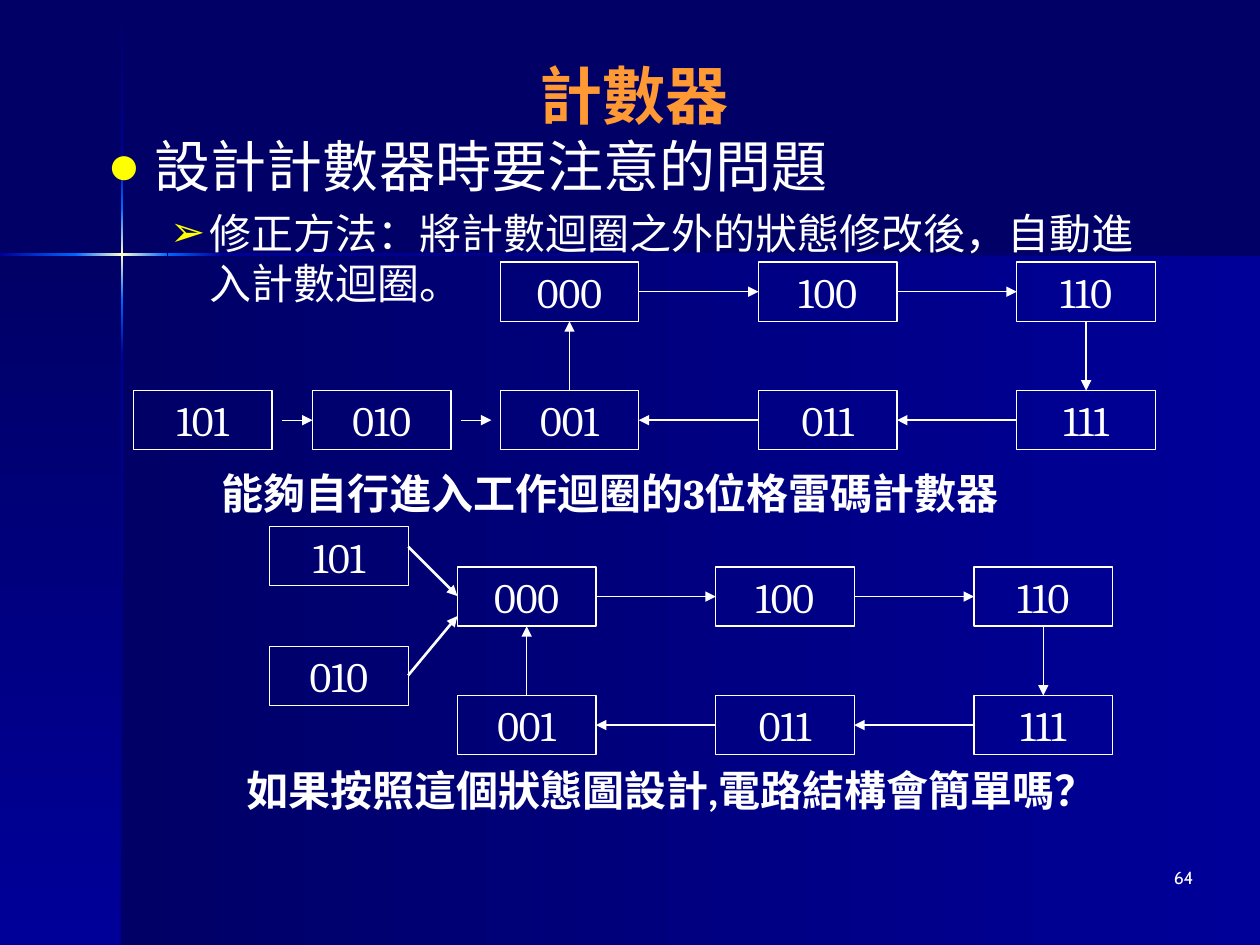
from collections import namedtuple
from copy import deepcopy

from lxml.etree import SubElement
from pptx import Presentation
from pptx.dml.color import RGBColor
from pptx.enum.shapes import MSO_CONNECTOR as LINK, MSO_SHAPE as SHAPE
from pptx.enum.text import MSO_ANCHOR as ANCHOR, MSO_AUTO_SIZE as FIT, PP_ALIGN as ALIGN
from pptx.oxml.ns import qn
from pptx.util import Inches, Pt

NAVY = RGBColor(0x00, 0x00, 0x66)
BLUE = RGBColor(0x00, 0x00, 0x99)
BRIGHT = RGBColor(0x00, 0x66, 0xFF)
CREAM = RGBColor(0xFF, 0xFF, 0xCC)
ORANGE = RGBColor(0xFF, 0x99, 0x33)
YELLOW = RGBColor(0xFF, 0xFF, 0x00)
WHITE = RGBColor(0xFF, 0xFF, 0xFF)

WIDTH, HEIGHT = Inches(10), Inches(7.5)
COL, ROW = WIDTH // 100, HEIGHT // 75
STATE_W, STATE_H = 11, 4.7
STEP_X, STEP_Y = 20.5, 10.2
THIN, THICK = 0.75, 1.5

Box = namedtuple("Box", "left top width height")


def grid(box):
    """Turn a box in columns and rows into slide lengths."""
    return [int(n * unit) for n, unit in zip(box, (COL, ROW, COL, ROW))]


def write(frame, text, *, size, font="Cabin", color=WHITE, bold=False, align=ALIGN.LEFT,
          level=0, bullet=None, indent=(0, 0), before=None):
    """Add one formatted paragraph to a text frame."""
    para = frame.add_paragraph() if frame.text else frame.paragraphs[0]
    para.text, para.alignment, para.level = text, align, level
    para.space_before = Pt(before or 0)
    if bullet:
        props = para._p.get_or_add_pPr()
        props.set("marL", str(Inches(indent[0])))
        props.set("indent", str(Inches(indent[1])))
        tint = SubElement(props, qn("a:buClr"))
        SubElement(tint, qn("a:srgbClr"), val=str(YELLOW))
        SubElement(props, qn("a:buChar"), char=bullet)
    para.font.size, para.font.name, para.font.bold = Pt(size), font, bold
    para.font.color.rgb = color


def text_box(slide, box, text, **style):
    """Place a wrapping text box."""
    frame = slide.shapes.add_textbox(*grid(box)).text_frame
    frame.word_wrap = True
    write(frame, text, **style)


def band(slide, box, colors, downward):
    """Place a borderless rectangle with evenly spaced gradient colours."""
    strip = slide.shapes.add_shape(SHAPE.RECTANGLE, *grid(box))
    strip.shadow.inherit = False
    strip.line.fill.background()
    strip.fill.gradient()
    strip.fill.gradient_angle = 270 if downward else 0
    stops = strip._element.spPr.find(".//" + qn("a:gsLst"))
    for _ in colors[2:]:
        stops.append(deepcopy(stops[0]))
    for place, (stop, color) in enumerate(zip(strip.fill.gradient_stops, colors)):
        stop.color.rgb = color
        stop.position = place / (len(colors) - 1)


def backdrop(slide):
    """Paint the background panels and the glowing cross."""
    slide.background.fill.solid()
    slide.background.fill.fore_color.rgb = NAVY
    edge_x, edge_y = 9.7, 20.2
    band(slide, Box(edge_x, edge_y, 100 - edge_x, 75 - edge_y), (NAVY, BLUE), False)
    band(slide, Box(0, edge_y, edge_x, 75 - edge_y), (NAVY, BLUE), True)
    glow = (BRIGHT, CREAM, BRIGHT)
    for top, bottom, colors in ((0.1, 12.1, (NAVY, BLUE)), (28.2, 75, (BLUE, NAVY)),
                                (23.8, 28.2, (BRIGHT, BLUE)), (12.1, 16.5, (BLUE, BRIGHT)),
                                (16.5, 23.8, glow)):
        band(slide, Box(edge_x - 0.1, top, 0.2, bottom - top), colors, True)
    for left, right, colors in ((17.7, 100, (BLUE, NAVY)), (0, 6.1, (BLUE, BRIGHT)),
                                (13.3, 17.7, (BRIGHT, BLUE)), (6, 13.3, glow)):
        band(slide, Box(left, edge_y - 0.1, right - left, 0.2), colors, False)


def placeholder(slide, index, box, anchor):
    """Move a template placeholder in front and return its text frame."""
    holder = slide.placeholders[index]
    slide.shapes._spTree.append(holder._element)
    holder.left, holder.top, holder.width, holder.height = grid(box)
    frame = holder.text_frame
    frame.auto_size, frame.vertical_anchor = FIT.NONE, anchor
    return frame


def heading(slide, box):
    """Fill the title."""
    write(placeholder(slide, 0, box, ANCHOR.MIDDLE), "計數器 ", size=36, color=ORANGE,
          bold=True, align=ALIGN.CENTER)


def points(slide, box):
    """Fill the bulleted list."""
    body = placeholder(slide, 1, box, ANCHOR.TOP)
    write(body, "設計計數器時要注意的問題", size=32, bullet="●", indent=(0.38, -0.38))
    write(body, "修正方法：將計數迴圈之外的狀態修改後，自動進入計數迴圈。", size=24,
          level=1, bullet="➢", indent=(0.81, -0.31), before=5)


def state(slide, left, top, code):
    """Place one outlined state box."""
    cell = slide.shapes.add_shape(SHAPE.RECTANGLE, *grid(Box(left, top, STATE_W, STATE_H)))
    cell.shadow.inherit = False
    cell.fill.background()
    cell.line.color.rgb, cell.line.width = WHITE, Pt(THIN)
    cell.text_frame.word_wrap = False
    cell.text_frame.vertical_anchor = ANCHOR.MIDDLE
    write(cell.text_frame, code, size=24, font="Cambria", align=ALIGN.CENTER)


def arrow(slide, start, end, weight=THIN):
    """Draw a line with a triangular head at its end."""
    x1, y1, x2, y2 = grid((*start, *end))
    link = slide.shapes.add_connector(LINK.STRAIGHT, x1, y1, x2, y2)
    link.line.color.rgb, link.line.width = WHITE, Pt(weight)
    SubElement(link.line._ln, qn("a:tailEnd"), type="triangle")
    SubElement(link._element.spPr, qn("a:effectLst"))


def cycle(slide, left, top):
    """Draw the six-state counting loop from its top left corner."""
    for row, codes in enumerate((("000", "100", "110"), ("001", "011", "111"))):
        for column, code in enumerate(codes):
            state(slide, left + column * STEP_X, top + row * STEP_Y, code)
    upper, lower = top + STATE_H / 2, top + STEP_Y + STATE_H / 2
    for column in range(2):
        near = left + column * STEP_X + STATE_W
        far = left + (column + 1) * STEP_X
        arrow(slide, (near, upper), (far, upper))
        arrow(slide, (far, lower), (near, lower), THICK)
    first = left + STATE_W / 2
    last = first + 2 * STEP_X
    arrow(slide, (first, top + STEP_Y), (first, top + STATE_H))
    arrow(slide, (last, top + STATE_H), (last, top + STEP_Y))


def chained_entry(slide, left, top):
    """Draw the outside states that reach the loop one after another."""
    for x, code in ((left, "101"), (left + 14.2, "010")):
        state(slide, x, top, code)
        arrow(slide, (x + 11.8, top + STATE_H / 2), (x + 14.2, top + STATE_H / 2))


def direct_entry(slide, left, top):
    """Draw the outside states that each jump straight into the loop."""
    right = left + STATE_W
    state(slide, left, top, "101")
    state(slide, left, top + 9.5, "010")
    arrow(slide, (right, top + 1.6), (right + 3.9, top + 5.5), THICK)
    arrow(slide, (right, top + 11.8), (right + 3.9, top + 7.1), THICK)


def main():
    """Build and save the slide."""
    deck = Presentation()
    deck.slide_width, deck.slide_height = WIDTH, HEIGHT
    slide = deck.slides.add_slide(deck.slide_layouts[1])
    backdrop(slide)
    heading(slide, Box(5, 3.3, 91.7, 8.3))
    points(slide, Box(7.5, 9.9, 86.7, 50.8))
    text_box(slide, Box(74.9, 68.3, 20.8, 5), "64", size=10, align=ALIGN.RIGHT)
    caption = {"size": 24, "font": "Cambria", "bold": True}
    chained_entry(slide, 10.6, 31)
    cycle(slide, 39.7, 20.8)
    text_box(slide, Box(16.6, 36.6, 70.1, 5), "能夠自行進入工作迴圈的3位格雷碼計數器", **caption)
    direct_entry(slide, 21.4, 41.8)
    cycle(slide, 36.3, 45)
    text_box(slide, Box(18.6, 60.2, 75.6, 5), "如果按照這個狀態圖設計,電路結構會簡單嗎？", **caption)
    deck.save("out.pptx")


if __name__ == "__main__":
    main()
